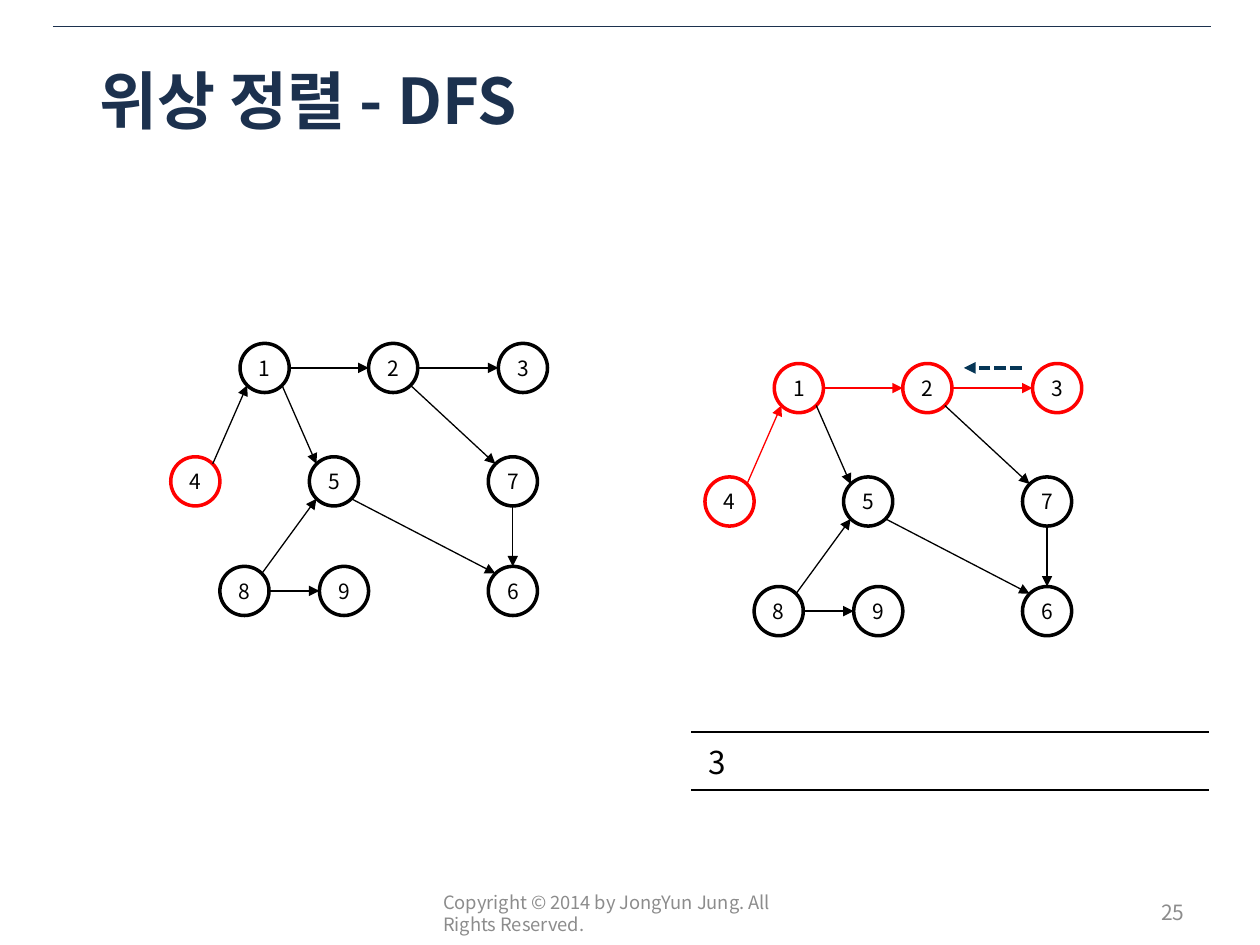
from lxml import etree
from pptx import Presentation
from pptx.dml.color import RGBColor
from pptx.enum.dml import MSO_LINE
from pptx.enum.shapes import MSO_CONNECTOR, MSO_SHAPE
from pptx.enum.text import MSO_ANCHOR, PP_ALIGN
from pptx.oxml.ns import qn
from pptx.util import Inches, Pt

FONT = "Noto Sans CJK KR"
NAVY = RGBColor(0x1C, 0x31, 0x4E)
TEAL = RGBColor(0x06, 0x36, 0x56)
GRAY = RGBColor(0x8C, 0x8C, 0x8C)
BLACK = RGBColor(0, 0, 0)
WHITE = RGBColor(0xFF, 0xFF, 0xFF)
RED = RGBColor(0xFF, 0, 0)

LEFT, CENTER, RIGHT = PP_ALIGN.LEFT, PP_ALIGN.CENTER, PP_ALIGN.RIGHT
MIDDLE = MSO_ANCHOR.MIDDLE
OVAL = MSO_SHAPE.OVAL
STRAIGHT = MSO_CONNECTOR.STRAIGHT
SHORT_DASH = MSO_LINE.SQUARE_DOT

NODE_SIZE = 0.39
DIAGONAL = 0.71
# Centre of each node in the left graph
NODES = {
    1: (2.1, 2.92), 5: (2.65, 3.82), 7: (4.07, 3.82), 4: (1.55, 3.82),
    3: (4.15, 2.92), 2: (3.12, 2.92), 6: (4.07, 4.69), 9: (2.73, 4.69),
    8: (1.94, 4.69),
}
DIRECTIONS = {
    "E": (1, 0), "W": (-1, 0), "N": (0, -1), "S": (0, 1),
    "NE": (DIAGONAL, -DIAGONAL), "NW": (-DIAGONAL, -DIAGONAL),
    "SE": (DIAGONAL, DIAGONAL), "SW": (-DIAGONAL, DIAGONAL),
}
# Start node, side it leaves from, end node, side it reaches
EDGES = [
    (1, "E", 2, "W"), (2, "E", 3, "W"), (4, "NE", 1, "SW"),
    (1, "SE", 5, "NW"), (2, "SE", 7, "NW"), (8, "NE", 5, "SW"),
    (8, "E", 9, "W"), (5, "SE", 6, "NW"), (7, "S", 6, "N"),
]


class SlideBuilder:
    def __init__(self, slide):
        self.slide = slide

    def style(self, paragraph, size, color=BLACK, align=LEFT, bold=False):
        paragraph.alignment = align
        font = paragraph.font
        font.name, font.size, font.bold = FONT, Pt(size), bold
        font.color.rgb = color
        properties = paragraph._p.pPr.find(qn("a:defRPr"))
        etree.SubElement(properties, qn("a:ea"), typeface=FONT)

    def text(self, text, left, top, width, height, size, color, **style):
        box = self.slide.shapes.add_textbox(
            Inches(left), Inches(top), Inches(width), Inches(height))
        frame = box.text_frame
        frame.word_wrap = True
        frame.vertical_anchor = MIDDLE
        frame.text = text
        self.style(frame.paragraphs[0], size, color, **style)

    def line(self, start, end, color, width, arrow=False, dash=None, shapes=None):
        shapes = self.slide.shapes if shapes is None else shapes
        connector = shapes.add_connector(
            STRAIGHT, *(Inches(value) for value in (*start, *end)))
        connector.line.color.rgb = color
        connector.line.width = Pt(width)
        if dash:
            connector.line.dash_style = dash
        if arrow:
            outline = connector.line._get_or_add_ln()
            etree.SubElement(outline, qn("a:tailEnd"), type="triangle")
        etree.SubElement(connector._element.spPr, qn("a:effectLst"))

    def node(self, shapes, number, center, color):
        x, y = center
        shape = shapes.add_shape(
            OVAL, Inches(x - NODE_SIZE / 2), Inches(y - NODE_SIZE / 2),
            Inches(NODE_SIZE), Inches(NODE_SIZE))
        shape.shadow.inherit = False
        shape.fill.background()
        shape.line.color.rgb = color
        shape.line.width = Pt(2)
        frame = shape.text_frame
        frame.margin_left = frame.margin_right = 0
        frame.margin_top = frame.margin_bottom = 0
        frame.vertical_anchor = MIDDLE
        frame.text = str(number)
        self.style(frame.paragraphs[0], 12, align=CENTER)

    def graph(self, visited, shift=(0, 0)):
        """Draw the graph with visited nodes, and edges between them, in red."""
        shapes = self.slide.shapes.add_group_shape().shapes
        centers = {number: (x + shift[0], y + shift[1])
                   for number, (x, y) in NODES.items()}
        for number, center in centers.items():
            self.node(shapes, number, center, RED if number in visited else BLACK)

        def rim(number, side):
            return [value + step * NODE_SIZE / 2
                    for value, step in zip(centers[number], DIRECTIONS[side])]

        for source, leaving, target, reaching in EDGES:
            color = RED if {source, target} <= visited else BLACK
            self.line(rim(source, leaving), rim(target, reaching), color, 0.75,
                      arrow=True, shapes=shapes)

    def border(self, cell, side, color):
        properties = cell._tc.get_or_add_tcPr()
        outline = etree.SubElement(properties, qn("a:" + side), w=str(Pt(1)))
        fill = etree.SubElement(outline, qn("a:solidFill"))
        etree.SubElement(fill, qn("a:srgbClr"), val=str(color))

    def result_table(self, values, left, top, columns, column_width, row_height):
        """Draw an empty row above a ruled row that holds the sorted values."""
        table = self.slide.shapes.add_table(
            2, columns, Inches(left), Inches(top),
            Inches(columns * column_width), Inches(2 * row_height)).table
        table.first_row = table.horz_banding = False
        for column in table.columns:
            column.width = Inches(column_width)
        for row_index in range(2):
            for column_index in range(columns):
                cell = table.cell(row_index, column_index)
                if row_index == 1 and column_index < len(values):
                    cell.text = values[column_index]
                self.style(cell.text_frame.paragraphs[0], 18, align=CENTER)
                self.border(cell, "lnL", WHITE)
                self.border(cell, "lnR", WHITE)
                self.border(cell, "lnT", BLACK if row_index else WHITE)
                self.border(cell, "lnB", BLACK)
                cell.fill.background()


def main():
    presentation = Presentation()
    presentation.slide_width = Inches(10)
    presentation.slide_height = Inches(7.5)
    builder = SlideBuilder(presentation.slides.add_slide(presentation.slide_layouts[6]))

    builder.line((0.42, 0.21), (9.61, 0.21), NAVY, 0.25)
    builder.text("25", 7.17, 7.04, 2.33, 0.4, 12, GRAY, align=RIGHT)
    builder.text("위상 정렬 - DFS", 0.69, 0.4, 8.62, 0.78, 36, NAVY, bold=True)
    builder.text("Copyright © 2014 by JongYun Jung. All Rights Reserved.",
                 3.42, 7.05, 3.17, 0.4, 10.5, GRAY)

    builder.graph(visited={4})
    builder.result_table(["3"], 5.49, 5.35, columns=10, column_width=0.41,
                         row_height=0.46)
    builder.graph(visited={4, 1, 2, 3}, shift=(4.24, 0.16))
    builder.line((8.11, 2.92), (7.65, 2.92), TEAL, 2.25, arrow=True, dash=SHORT_DASH)

    presentation.save("out.pptx")


if __name__ == "__main__":
    main()
